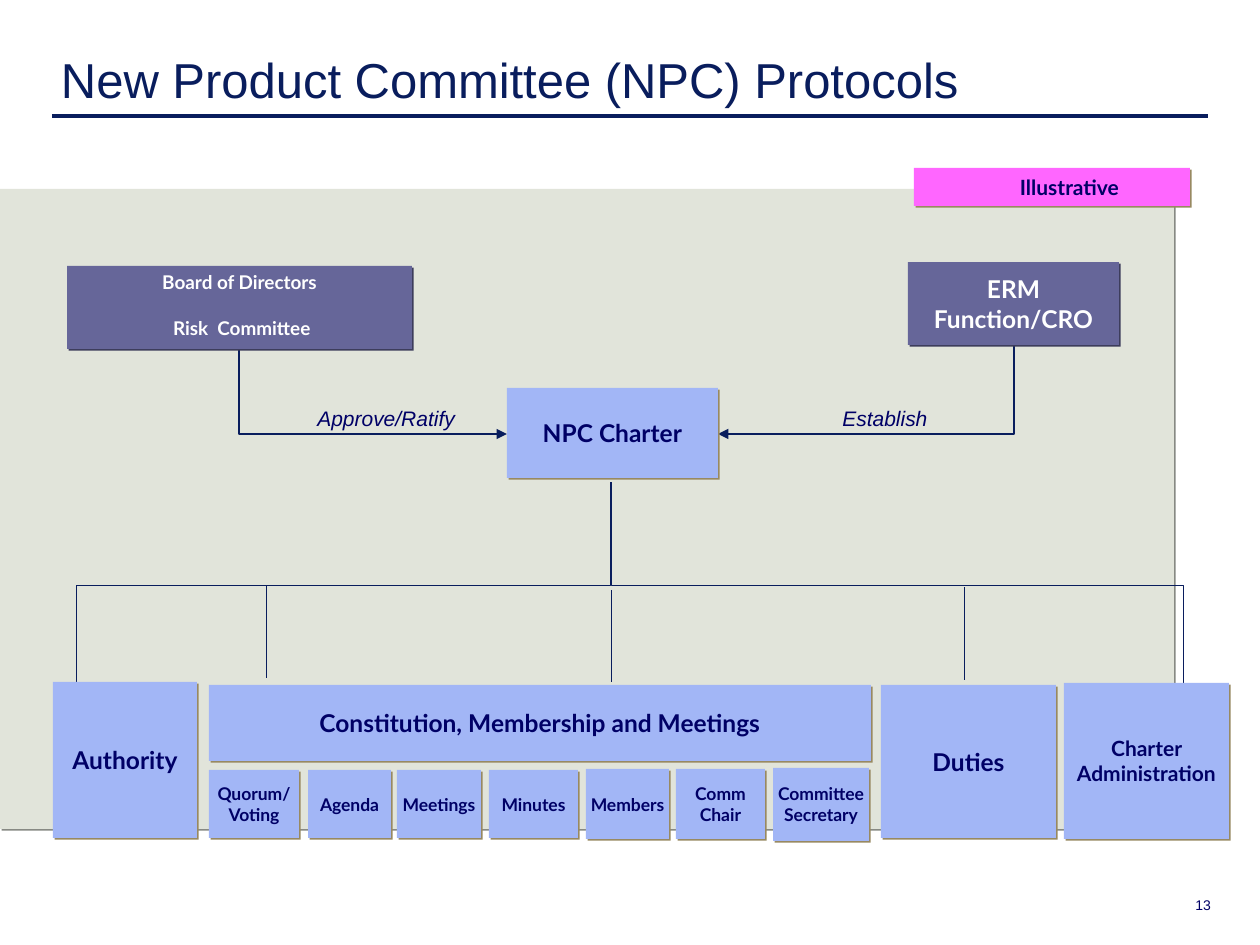
from lxml.etree import SubElement
from pptx import Presentation
from pptx.dml.color import RGBColor
from pptx.enum.shapes import MSO_CONNECTOR, MSO_SHAPE
from pptx.enum.text import MSO_ANCHOR, PP_ALIGN
from pptx.oxml import parse_xml
from pptx.oxml.ns import nsdecls, qn
from pptx.util import Pt

SCALE = 914400 / 126  # EMU in one px
NAVY, INK, WHITE = "091D5D", "000066", "FFFFFF"
BLUE, PURPLE, PINK, SAGE = "A2B6F6", "666699", "FF66FF", "E1E4DA"
SHADOWS = {BLUE: "988961", PINK: "988961", PURPLE: "3D3D5C", SAGE: "878983"}


def emu(*lengths):
    return [round(length * SCALE) for length in lengths]


def color(value):
    return RGBColor.from_string(value)


def shadow_xml(value):
    return parse_xml(
        f'<a:outerShdw {nsdecls("a")} dist="17780" dir="2700000" algn="ctr" rotWithShape="0">'
        f'<a:srgbClr val="{value}"/></a:outerShdw>')


deck = Presentation()
deck.slide_width, deck.slide_height = emu(1260, 945)
page = deck.slides.add_slide(deck.slide_layouts[5])

# Title
title = page.shapes.title
title.left, title.top, title.width, title.height = emu(21, 42, 1188, 73)
frame = title.text_frame
frame.text = "New Product Committee (NPC) Protocols"
frame.vertical_anchor = MSO_ANCHOR.BOTTOM
frame.margin_left = emu(40)[0]
frame.paragraphs[0].alignment = PP_ALIGN.LEFT
font = frame.paragraphs[0].runs[0].font
font.name, font.size, font.color.rgb = "Arial", Pt(28), color(NAVY)

# Background panel
panel = page.shapes.add_shape(MSO_SHAPE.RECTANGLE, *emu(0, 189, 1174, 640))
panel.fill.solid()
panel.fill.fore_color.rgb = color(SAGE)
panel.line.fill.background()
panel.shadow.inherit = False
panel._element.spPr.find(qn("a:effectLst")).append(shadow_xml(SHADOWS[SAGE]))

# Straight lines: title rule, then the branches of the tree
straight_lines = [
    (52, 116, 1208, 116, 2),
    (266, 678, 266, 585, 0.25),
    (611, 682, 611, 590, 0.25),
    (964, 680, 964, 587, 0.25),
]
# Elbows: box before rotation, line width, preset, rotation and flips, arrow
elbow_lines = [
    (239, 348, 268, 86, 0.75, "bentConnector2", {"rot": "10800000"}, True),
    (718, 346, 296, 88, 0.75, "bentConnector2", {"flipV": "1"}, True),
    (795, 299, 205, 572, 0.25, "bentConnector3", {"rot": "16200000", "flipV": "1"}, False),
    (241, 318, 205, 534, 0.25, "bentConnector3",
     {"rot": "5400000", "flipH": "1", "flipV": "1"}, False),
]
connectors = []
for x1, y1, x2, y2, weight in straight_lines:
    line = page.shapes.add_connector(MSO_CONNECTOR.STRAIGHT, *emu(x1, y1, x2, y2))
    connectors.append((line, weight, False))
for left, top, width, height, weight, preset, turns, arrow in elbow_lines:
    line = page.shapes.add_connector(
        MSO_CONNECTOR.ELBOW, *emu(left, top, left + width, top + height))
    properties = line._element.spPr
    properties.find(qn("a:prstGeom")).set("prst", preset)
    for name, value in turns.items():
        properties.find(qn("a:xfrm")).set(name, value)
    connectors.append((line, weight, arrow))
for line, weight, arrow in connectors:
    line.line.width = Pt(weight)
    line.line.color.rgb = color(NAVY)
    properties = line._element.spPr
    if arrow:
        SubElement(properties.find(qn("a:ln")), qn("a:headEnd"), type="triangle")
    SubElement(properties, qn("a:effectLst"))

# Boxes: left, top, width, height, fill, text size, text
boxes = [
    (507, 388, 211, 90, BLUE, 14, "NPC Charter"),
    (67, 266, 345, 83, PURPLE, 10.8, "Board of Directors\n Risk  Committee"),
    (908, 262, 211, 83, PURPLE, 14, "ERM Function/CRO"),
    (914, 168, 276, 38, PINK, 12, "Illustrative"),
    (53, 682, 144, 156, BLUE, 14, "Authority"),
    (209, 685, 662, 76, BLUE, 14, "Constitution, Membership and Meetings"),
    (881, 685, 175, 153, BLUE, 14, "Duties"),
    (1064, 683, 165, 156, BLUE, 12, "Charter Administration"),
    (209, 770, 90, 68, BLUE, 10, "Quorum/ Voting"),
    (308, 770, 83, 68, BLUE, 10, "Agenda"),
    (397, 770, 84, 68, BLUE, 10, "Meetings"),
    (489, 770, 89, 68, BLUE, 10, "Minutes"),
    (586, 769, 83, 70, BLUE, 10, "Members"),
    (676, 769, 89, 70, BLUE, 10, "Comm Chair"),
    (773, 768, 96, 73, BLUE, 10, "Committee Secretary"),
]
for left, top, width, height, fill, size, text in boxes:
    box = page.shapes.add_shape(MSO_SHAPE.RECTANGLE, *emu(left, top, width, height))
    box.fill.solid()
    box.fill.fore_color.rgb = color(fill)
    box.line.fill.background()
    box.shadow.inherit = False
    box._element.spPr.find(qn("a:effectLst")).append(shadow_xml(SHADOWS[fill]))
    frame = box.text_frame
    frame.word_wrap = True
    frame.vertical_anchor = MSO_ANCHOR.MIDDLE
    frame.margin_left, frame.margin_right = emu(35 if fill == PINK else 0, 0)
    frame.text = text
    for index, para in enumerate(frame.paragraphs):
        para.alignment = PP_ALIGN.CENTER
        if len(frame.paragraphs) > 1:
            para.line_spacing = 0.8
            para.space_before = Pt(8.8 if index else 0)
            para.space_after = Pt(7)
        font = para.runs[0].font
        font.name, font.size, font.bold = "Lato", Pt(size), True
        font.color.rgb = color(WHITE if fill == PURPLE else INK)

# Arrow labels with shadowed text, and the page number
labels = [
    (305, 399, 164, 38, "Approve/Ratify", 12),
    (830, 399, 265, 38, "Establish", 12),
    (1085, 898, 126, 16, "13", 8),
]
for left, top, width, height, text, size in labels:
    box = page.shapes.add_textbox(*emu(left, top, width, height))
    frame = box.text_frame
    frame.word_wrap = True
    frame.text = text
    para = frame.paragraphs[0]
    span = para.runs[0]
    span.font.size = Pt(size)
    span.font.color.rgb = color(INK)
    if text == "13":
        frame.margin_left = frame.margin_right = frame.margin_top = frame.margin_bottom = 0
        para.alignment = PP_ALIGN.RIGHT
        para.line_spacing = 0.95
    else:
        span.font.italic = True
        effects = SubElement(span.font._element, qn("a:effectLst"))
        effects.append(shadow_xml(SHADOWS[SAGE]))
    span.font.name = "Arial"

deck.save("out.pptx")
